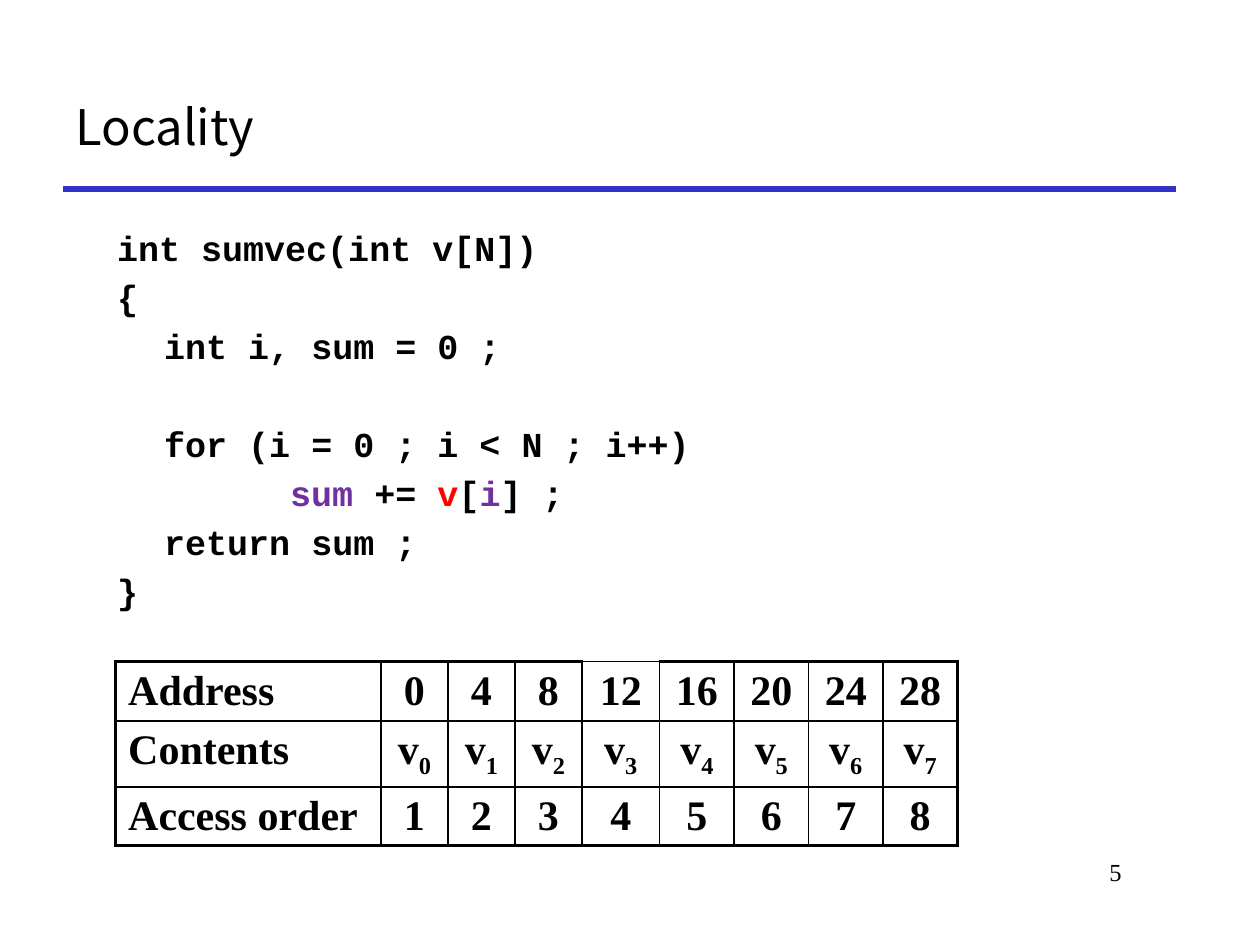
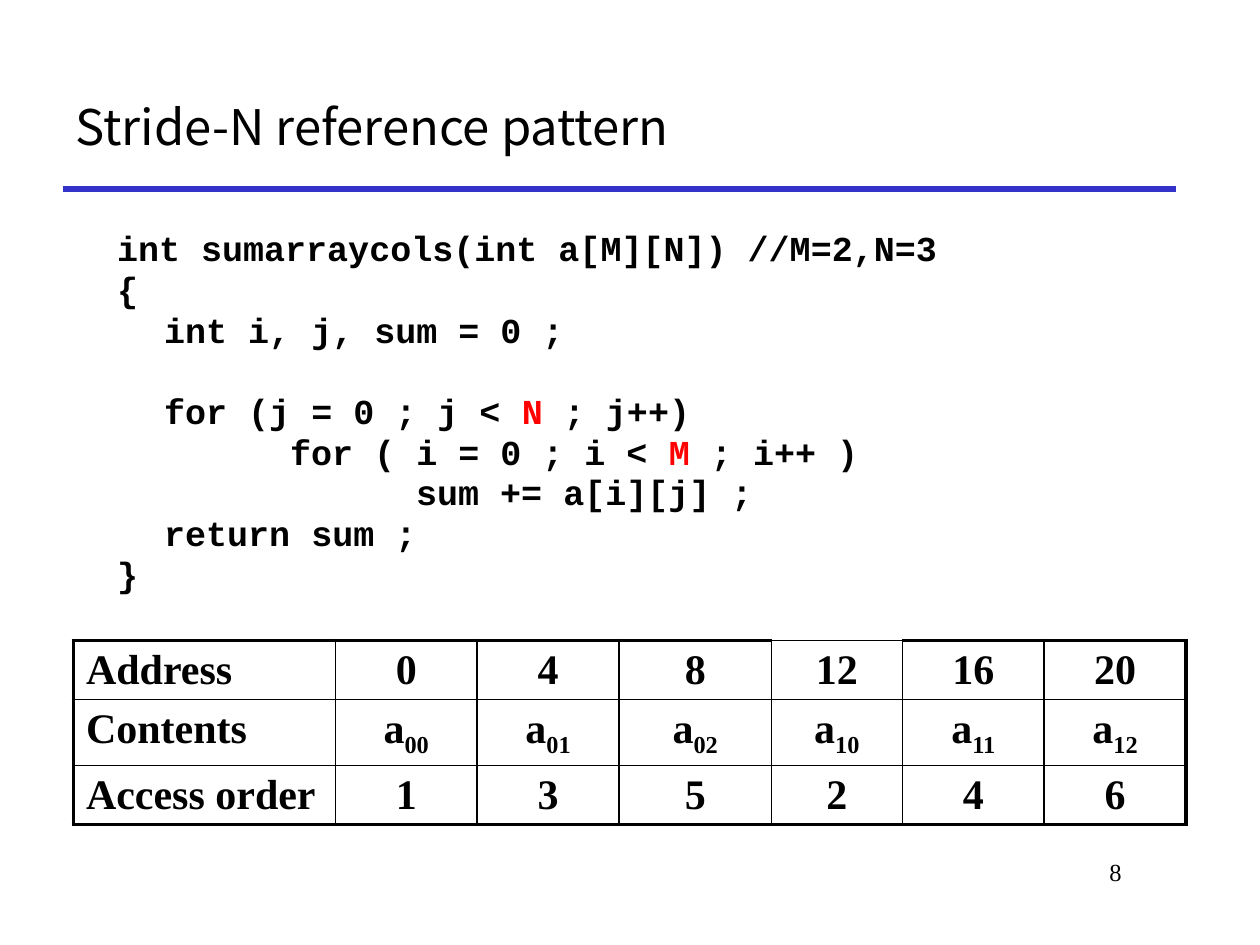
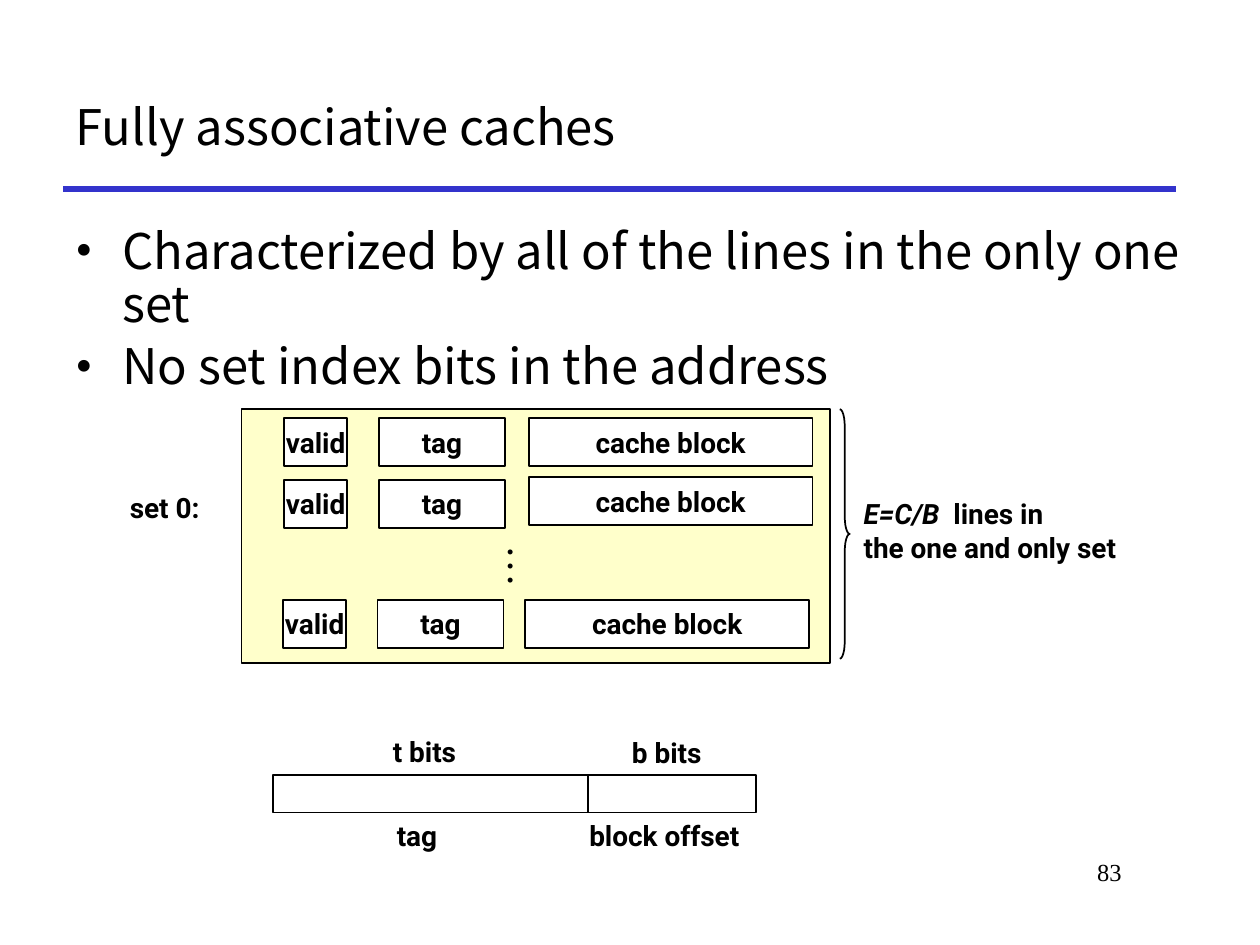
from lxml import etree
from pptx import Presentation
from pptx.dml.color import RGBColor
from pptx.enum.shapes import MSO_CONNECTOR, MSO_SHAPE
from pptx.enum.text import MSO_ANCHOR, MSO_AUTO_SIZE, PP_ALIGN
from pptx.oxml.ns import qn
from pptx.util import Cm, Pt

LEFT, CENTER, RIGHT = PP_ALIGN.LEFT, PP_ALIGN.CENTER, PP_ALIGN.RIGHT
TOP, MIDDLE = MSO_ANCHOR.TOP, MSO_ANCHOR.MIDDLE
NO_AUTOFIT = MSO_AUTO_SIZE.NONE
STRAIGHT = MSO_CONNECTOR.STRAIGHT
RECTANGLE, RIGHT_BRACE = MSO_SHAPE.RECTANGLE, MSO_SHAPE.RIGHT_BRACE

COLORS = {
    "text": "000000",
    "rule": "3333CC",
    "white": "FFFFFF",
    "set": "FFFF99",
    "red": "FF0000",
    "purple": "7030A0",
}
SANS, SERIF, CODE, LABEL = "Noto Sans CJK KR", "Times New Roman", "Courier New", "Roboto"
TITLE_ONLY = 5
HANGING, TAB_STEP = 0.95, 2.54
THIN, THICK = 1, 2.25
TABLE_ROWS = (1.19, 1.33, 1.19)

VECTOR_CODE = [
    "int sumvec(int v[N])",
    "{",
    "\tint i, sum = 0 ;",
    "",
    "\tfor (i = 0 ; i < N ; i++)",
    ["\t\t", ("sum", {"color": "purple"}), " += ", ("v", {"color": "red"}),
     "[", ("i", {"color": "purple"}), "] ;"],
    "\treturn sum ;",
    "}",
]
COLUMNS_CODE = [
    "int sumarraycols(int a[M][N]) //M=2,N=3",
    "{",
    "\tint i, j, sum = 0 ;",
    "",
    ["\tfor (j = 0 ; j < ", ("N", {"color": "red"}), " ; j++)"],
    ["\t\tfor ( i = 0 ; i < ", ("M", {"color": "red"}), " ; i++ )"],
    "\t\t\tsum += a[i][j] ;",
    "\treturn sum ;",
    "}",
]


def rgb(name):
    """Return the named colour."""
    return RGBColor.from_string(COLORS[name])


def add_run(paragraph, text, size, font, bold, color="text", italic=False, subscript=False):
    """Append one formatted run."""
    run = paragraph.add_run()
    run.text = text
    run.font.size = Pt(size)
    run.font.name = font
    run.font.bold = bold
    run.font.italic = italic
    run.font.color.rgb = rgb(color)
    if subscript:
        run._r.get_or_add_rPr().set("baseline", "-25000")


def write_text(frame, paragraphs, size=16, font=LABEL, bold=True, align=LEFT, anchor=TOP,
               wrap=True, hanging=0, bullet=None, spacing=None, first_spacing=None,
               before=0, blank=0):
    """Fill a text frame; an empty string widens the gap before the next paragraph."""
    frame.word_wrap = wrap
    frame.vertical_anchor = anchor
    gap = 0
    paragraph = frame.paragraphs[0]
    for index, content in enumerate(paragraphs):
        if not content:
            gap += blank
            continue
        if index:
            paragraph = frame.add_paragraph()
            paragraph.space_before = Pt(before + gap)
        gap = 0
        paragraph.alignment = align
        properties = paragraph._p.get_or_add_pPr()
        if hanging:
            properties.set("marL", str(Cm(hanging)))
            properties.set("indent", str(-Cm(hanging)))
            properties.set("defTabSz", str(Cm(TAB_STEP)))
        if bullet:
            etree.SubElement(properties, qn("a:buFont")).set("typeface", SERIF)
            etree.SubElement(properties, qn("a:buChar")).set("char", bullet)
        line_spacing = spacing if index else first_spacing
        if line_spacing:
            paragraph.line_spacing = line_spacing
        for part in [content] if isinstance(content, str) else content:
            text, changes = (part, {}) if isinstance(part, str) else part
            add_run(paragraph, text, size, font, bold, **changes)


def add_text(slide, box, paragraphs, **text_format):
    """Add a text box at a box given in centimetres."""
    shape = slide.shapes.add_textbox(*map(Cm, box))
    write_text(shape.text_frame, paragraphs, **text_format)
    return shape


def add_outlined(slide, preset, box, fill=None, text=None):
    """Add a thinly outlined preset shape with an optional centred label."""
    shape = slide.shapes.add_shape(preset, *map(Cm, box))
    shape.shadow.inherit = False
    shape.line.color.rgb = rgb("text")
    shape.line.width = Pt(THIN)
    if fill:
        shape.fill.solid()
        shape.fill.fore_color.rgb = rgb(fill)
    else:
        shape.fill.background()
    if text:
        write_text(shape.text_frame, [text], align=CENTER, anchor=MIDDLE, wrap=False)
    return shape


def add_titled_slide(presentation, title, number):
    """Add a slide with the shared title, rule and page number."""
    slide = presentation.slides.add_slide(presentation.slide_layouts[TITLE_ONLY])
    shape = slide.shapes.title
    shape.left, shape.top, shape.width, shape.height = map(Cm, (1.27, 1.27, 22.43, 2.54))
    shape.text_frame.auto_size = NO_AUTOFIT
    write_text(shape.text_frame, [title], size=28, font=SANS, bold=False, anchor=MIDDLE)
    rule = slide.shapes.add_connector(STRAIGHT, Cm(1.27), Cm(3.81), Cm(23.7), Cm(3.81))
    rule.line.color.rgb = rgb("rule")
    rule.line.width = Pt(3)
    etree.SubElement(rule._element.spPr, qn("a:effectLst"))
    add_text(slide, (19.25, 17.15, 3.61, 1.27), [str(number)],
             size=14, font=SERIF, bold=False, align=RIGHT)
    return slide


def add_code(slide, box, lines, spacing=None):
    """Add a code listing with hanging tabs."""
    add_text(slide, box, lines, size=20, font=CODE, hanging=HANGING,
             spacing=spacing, before=4, blank=24 * (spacing or 1) + 4)


def set_borders(cell, widths):
    """Draw the cell's left, right, top and bottom lines."""
    properties = cell._tc.get_or_add_tcPr()
    for side, width in zip("LRTB", widths):
        line = etree.SubElement(properties, qn(f"a:ln{side}"), w=str(Pt(width)))
        fill = etree.SubElement(line, qn("a:solidFill"))
        etree.SubElement(fill, qn("a:srgbClr"), val=COLORS["text"])


def add_access_table(slide, left, top, widths, letter, subscripts, order):
    """Add the table of addresses, contents and access order."""
    rows = [
        ["Address"] + [str(4 * index) for index in range(len(order))],
        ["Contents"] + [[letter, (mark, {"subscript": True})] for mark in subscripts],
        ["Access order"] + [str(step) for step in order],
    ]
    frame = slide.shapes.add_table(len(rows), len(widths), Cm(left), Cm(top),
                                   Cm(sum(widths)), Cm(sum(TABLE_ROWS)))
    table = frame.table
    table.first_row = table.horz_banding = False
    for column, width in zip(table.columns, widths):
        column.width = Cm(width)
    last_row, last_column = len(rows) - 1, len(widths) - 1
    for r, contents in enumerate(rows):
        table.rows[r].height = Cm(TABLE_ROWS[r])
        for c, content in enumerate(contents):
            cell = table.cell(r, c)
            edges = (c == 0, c == last_column, r == 0 and c != 4, r == last_row)
            set_borders(cell, [THICK if edge else THIN for edge in edges])
            cell.fill.background()
            cell.margin_bottom = Cm(0.03)
            write_text(cell.text_frame, [content], size=24, font=SERIF,
                       align=CENTER if c else LEFT)


def add_cache_set(slide, left, top, width, height):
    """Add the set box with its cache lines, label and brace."""
    panel = add_outlined(slide, RECTANGLE, (left, top, width, height), "set")
    color = panel._element.spPr.find(qn("a:solidFill")).find(qn("a:srgbClr"))
    etree.SubElement(color, qn("a:alpha"), val="50000")
    names, cell_widths = ("valid", "tag", "cache block"), (1.27, 2.54, 5.72)
    upper, lower = (0.86, 2.77, 5.79), (0.84, 2.74, 5.72)
    lines = [
        (upper, (0.18, 0.18, 0.18)),
        (upper, (1.42, 1.42, 1.37)),
        (lower, (3.84, 3.84, 3.84)),
    ]
    for offsets, tops in lines:
        for name, cell_width, x, y in zip(names, cell_widths, offsets, tops):
            add_outlined(slide, RECTANGLE, (left + x, top + y, cell_width, 0.97), "white", name)
    dots = add_text(slide, (left + 4.83, top + 2.49, 1.52, 1.09), ["…"],
                    size=24, font=SERIF, bold=False, wrap=False)
    dots.text_frame._txBody.bodyPr.set("vert", "eaVert")
    add_text(slide, (left - 2.54, top + 1.5, 1.98, 0.94), ["set 0:"],
             align=CENTER, anchor=MIDDLE, wrap=False)
    brace = add_outlined(slide, RIGHT_BRACE, (left + width + 0.2, top, 0.2, height - 0.08))
    brace.adjustments[0] = 1.75
    add_text(slide, (left + width + 0.43, top + 1.63, 5.97, 1.63),
             [[("E=C/B", {"italic": True}), "  lines in"], "the one and only set"],
             anchor=MIDDLE, wrap=False)


def add_address_fields(slide, left, top):
    """Add the tag and block offset fields with labels above and below."""
    fields = [
        (0, 6.35, ("t bits", 2.16, -0.94, 2), ("tag", 2.24, 0.76, 2)),
        (6.35, 3.38, ("b bits", 6.98, -0.91, 2), ("block offset", 6.12, 0.76, 3.8)),
    ]
    for offset, width, *labels in fields:
        add_outlined(slide, RECTANGLE, (left + offset, top, width, 0.76))
        for text, x, y, label_width in labels:
            add_text(slide, (left + x, top + y, label_width, 0.94), [text])


def build_vector_slide(presentation):
    """Build the slide on locality in a vector sum."""
    slide = add_titled_slide(presentation, "Locality", 5)
    add_code(slide, (2.11, 4.45, 19.69, 8.05), VECTOR_CODE)
    add_access_table(slide, 2.33, 13.34, [5.35] + [1.35] * 3 + [1.57] + [1.5] * 4,
                     "v", "01234567", range(1, 9))


def build_stride_slide(presentation):
    """Build the slide on summing an array by columns."""
    slide = add_titled_slide(presentation, "Stride-N reference pattern", 8)
    add_code(slide, (2.11, 4.45, 22.02, 8.05), COLUMNS_CODE, spacing=0.8)
    add_access_table(slide, 1.48, 12.91, [5.28, 2.86, 2.86, 3.07, 2.64, 2.86, 2.86],
                     "a", ["00", "01", "02", "10", "11", "12"], [1, 3, 5, 2, 4, 6])


def build_cache_slide(presentation):
    """Build the slide on fully associative caches."""
    slide = add_titled_slide(presentation, "Fully associative caches", 83)
    add_text(slide, (1.27, 4.45, 23.06, 4.01),
             ["Characterized by all of the lines in the only one set",
              "No set index bits in the address"],
             size=28, font=SANS, bold=False, hanging=HANGING, bullet="•",
             spacing=0.9, first_spacing=0.9, before=5.6)
    add_cache_set(slide, 4.87, 8.25, 11.86, 5.11)
    add_address_fields(slide, 5.51, 15.62)


def main():
    """Build and save the presentation."""
    presentation = Presentation()
    presentation.slide_width, presentation.slide_height = Cm(25.4), Cm(19.05)
    build_vector_slide(presentation)
    build_stride_slide(presentation)
    build_cache_slide(presentation)
    presentation.save("out.pptx")


if __name__ == "__main__":
    main()
